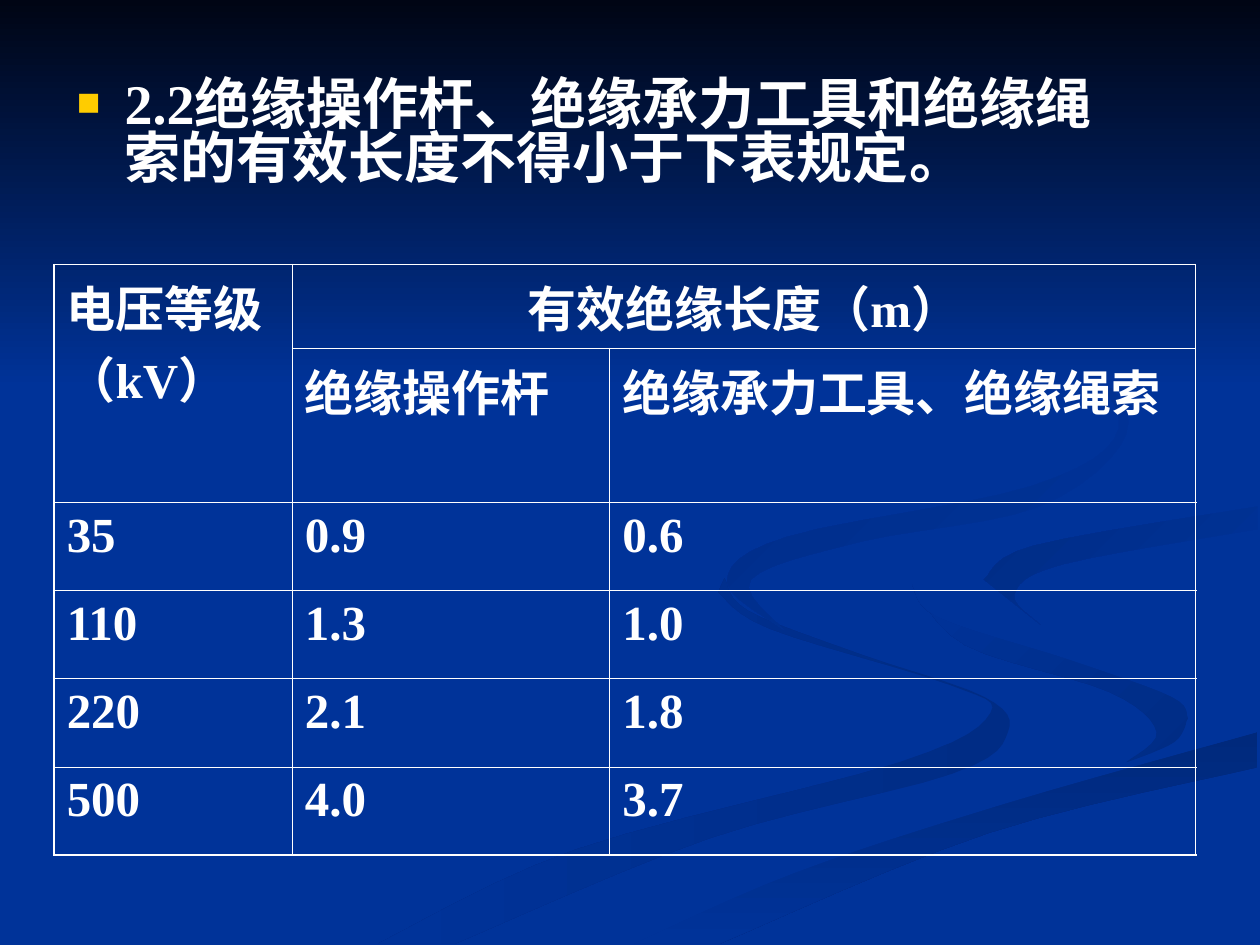
from dataclasses import dataclass
from itertools import product

from lxml.etree import SubElement
from pptx import Presentation
from pptx.dml.color import RGBColor as RGB
from pptx.enum.text import MSO_ANCHOR, MSO_AUTO_SIZE, PP_ALIGN
from pptx.oxml.ns import qn
from pptx.util import Inches, Pt


@dataclass(frozen=True)
class Theme:
    font: str = "Times New Roman"
    text: str = "FFFFFF"
    bullet: str = "FFCC00"
    background: str = "003399"
    night: str = "000514"
    shade: str = "002C85"
    deep_shade: str = "00297C"
    body_size: int = 32
    table_size: int = 28
    outer_line: float = 1.08
    inner_line: float = 0.45


theme = Theme()


def draw_ribbon(slide, edges, colors, angle, steps=6):
    """Join smooth edges into one outline with a gradient (clockwise angle)."""
    outline = []
    for edge in edges:
        padded = [edge[0], *edge, edge[-1]]
        for before, start, end, after in zip(padded, padded[1:], padded[2:], padded[3:]):
            for t in (step / steps for step in range(steps)):
                outline.append([Inches(
                    b + (c - a) * t / 2
                    + (2 * a - 5 * b + 4 * c - d) * t ** 2 / 2
                    + (3 * b - a - 3 * c + d) * t ** 3 / 2
                ) for a, b, c, d in zip(before, start, end, after)])
        outline.append([Inches(value) for value in edge[-1]])
    builder = slide.shapes.build_freeform(*outline[0], scale=1.0)
    builder.add_line_segments(outline[1:], close=True)
    shape = builder.convert_to_shape()
    shape.shadow.inherit = False
    shape.line.fill.background()
    shape.fill.gradient()
    shape.fill.gradient_angle = (360 - angle) % 360
    for stop, color in zip(shape.fill.gradient_stops, colors):
        stop.color.rgb = RGB.from_string(color)


def style_paragraph(paragraph, size, space_before):
    paragraph.space_before = Pt(space_before)
    font = paragraph.font
    font.name, font.size, font.bold = theme.font, Pt(size), True
    font.color.rgb = RGB.from_string(theme.text)


presentation = Presentation()
presentation.slide_width, presentation.slide_height = Inches(10), Inches(7.5)
slide = presentation.slides.add_slide(presentation.slide_layouts[1])
slide.background.fill.solid()
slide.background.fill.fore_color.rgb = RGB.from_string(theme.background)

# Edges shared by neighbouring ribbons
curl = [(7.24, 4.64), (7.45, 4.9), (8.5, 5.24), (9.3, 5.53), (9.43, 5.7)]
sweep = [(5.03, 7.49), (6.3, 6.93), (7.97, 6.38), (9.98, 5.81)]
crest = [(7.81, 4.6), (8.21, 4.33), (9.98, 4.02)]

# Background ribbons and the dark sky, back to front
plain, shade = theme.background, theme.shade
ribbons = [
    ([[(5.75, 4.59), (5.94, 4.85), (6.82, 5.19), (7.81, 5.53), (8, 5.81),
       (7.56, 6.14), (5.64, 6.65), (3.61, 7.49)],
      [(3, 7.49), (4.58, 6.74), (7.14, 6.05), (7.86, 5.66), (7.52, 5.43),
       (6.11, 4.99), (5.7, 4.7)]], (shade, plain), 180),
    ([curl, [(9.43, 5.7), (9.32, 5.89), (8.94, 6.05)],
      [(8.94, 6.05), (9.18, 5.81), (8.8, 5.49), (7.66, 5.12), (7.24, 4.64)]],
     (shade, plain), 225),
    ([sweep, [(9.98, 6.09), (7.85, 6.61), (5.71, 7.49)]],
     (theme.deep_shade, plain), 90),
    ([curl, [(9.43, 5.7), (9.11, 6), (7.04, 6.55), (4.77, 7.49)], sweep,
      [(9.98, 5.38), (8.32, 4.98), (7.81, 4.6)], crest,
      [(9.98, 3.87), (7.7, 4.27), (7.24, 4.64)]], (plain, plain), 0),
    ([crest, [(9.98, 4.2), (8.43, 4.48), (8.05, 4.72), (8.26, 4.96)]],
     (plain, shade), 225),
    ([[(7.62, 2.33), (8.64, 2.91), (8.94, 3.44), (8.25, 4.02), (6.83, 4.3),
       (5.96, 4.6), (6.22, 5)],
      [(6.22, 5), (5.77, 4.62), (6.25, 4.26), (8.18, 3.86), (8.88, 3.4),
       (8.46, 2.79), (7.62, 2.33)]], (plain, shade), 225),
    ([[(0, 0), (10, 0)], [(10, 3.08), (0, 3.08)]], (theme.night, plain), 90),
]
for edges, colors, angle in ribbons:
    draw_ribbon(slide, edges, colors, angle)

# Rule text: the body placeholder, brought in front of the ribbons
title, body = slide.placeholders
title.element.getparent().remove(title.element)
slide.shapes.element.append(body.element)
body.left, body.top, body.width, body.height = map(Inches, (0.51, 0.6, 8.58, 1.02))
frame = body.text_frame
frame.text = "2.2绝缘操作杆、绝缘承力工具和绝缘绳索的有效长度不得小于下表规定。"
frame.word_wrap, frame.auto_size = True, MSO_AUTO_SIZE.NONE
frame.vertical_anchor = MSO_ANCHOR.TOP
paragraph = frame.paragraphs[0]
paragraph.line_spacing = 0.8
properties = paragraph._p.get_or_add_pPr()
properties.set("marL", str(Inches(0.38)))
properties.set("indent", str(-Inches(0.38)))
bullet_color = SubElement(properties, qn("a:buClr"))
SubElement(bullet_color, qn("a:srgbClr"), val=theme.bullet)
SubElement(properties, qn("a:buSzPct"), val="70000")
SubElement(properties, qn("a:buFont"), typeface=theme.font)
SubElement(properties, qn("a:buChar"), char="■")
style_paragraph(paragraph, theme.body_size, 8)

# Table of minimum lengths
rows = [
    ("电压等级（kV）", "有效绝缘长度（m）", ""),
    ("", "绝缘操作杆", "绝缘承力工具、绝缘绳索"),
    ("35", "0.9", "0.6"),
    ("110", "1.3", "1.0"),
    ("220", "2.1", "1.8"),
    ("500", "4.0", "3.7"),
]
column_widths = (1.89, 2.52, 4.65)
row_heights = (0.57, 1.04) + (0.7,) * 4
last_row, last_column = len(rows) - 1, len(column_widths) - 1
table = slide.shapes.add_table(
    len(rows), len(column_widths), Inches(0.43), Inches(2.1),
    Inches(sum(column_widths)), Inches(sum(row_heights))).table
table.first_row = table.horz_banding = False
for column, width in zip(table.columns, column_widths):
    column.width = Inches(width)
for row, height in zip(table.rows, row_heights):
    row.height = Inches(height)
table.cell(0, 0).merge(table.cell(1, 0))
table.cell(0, 1).merge(table.cell(0, 2))

for r, c in product(range(len(rows)), range(len(column_widths))):
    cell = table.cell(r, c)
    cell.text = rows[r][c]
    style_paragraph(cell.text_frame.paragraphs[0], theme.table_size, 7)
    outer_sides = {"L": c == 0, "R": c == last_column, "T": r == 0, "B": r == last_row}
    for side, is_outer in outer_sides.items():
        width = Pt(theme.outer_line if is_outer else theme.inner_line)
        border = SubElement(cell._tc.get_or_add_tcPr(), qn(f"a:ln{side}"), w=str(width))
        SubElement(SubElement(border, qn("a:solidFill")), qn("a:srgbClr"), val=theme.text)
    cell.fill.background()
table.cell(0, 1).text_frame.paragraphs[0].alignment = PP_ALIGN.CENTER

presentation.save("out.pptx")
